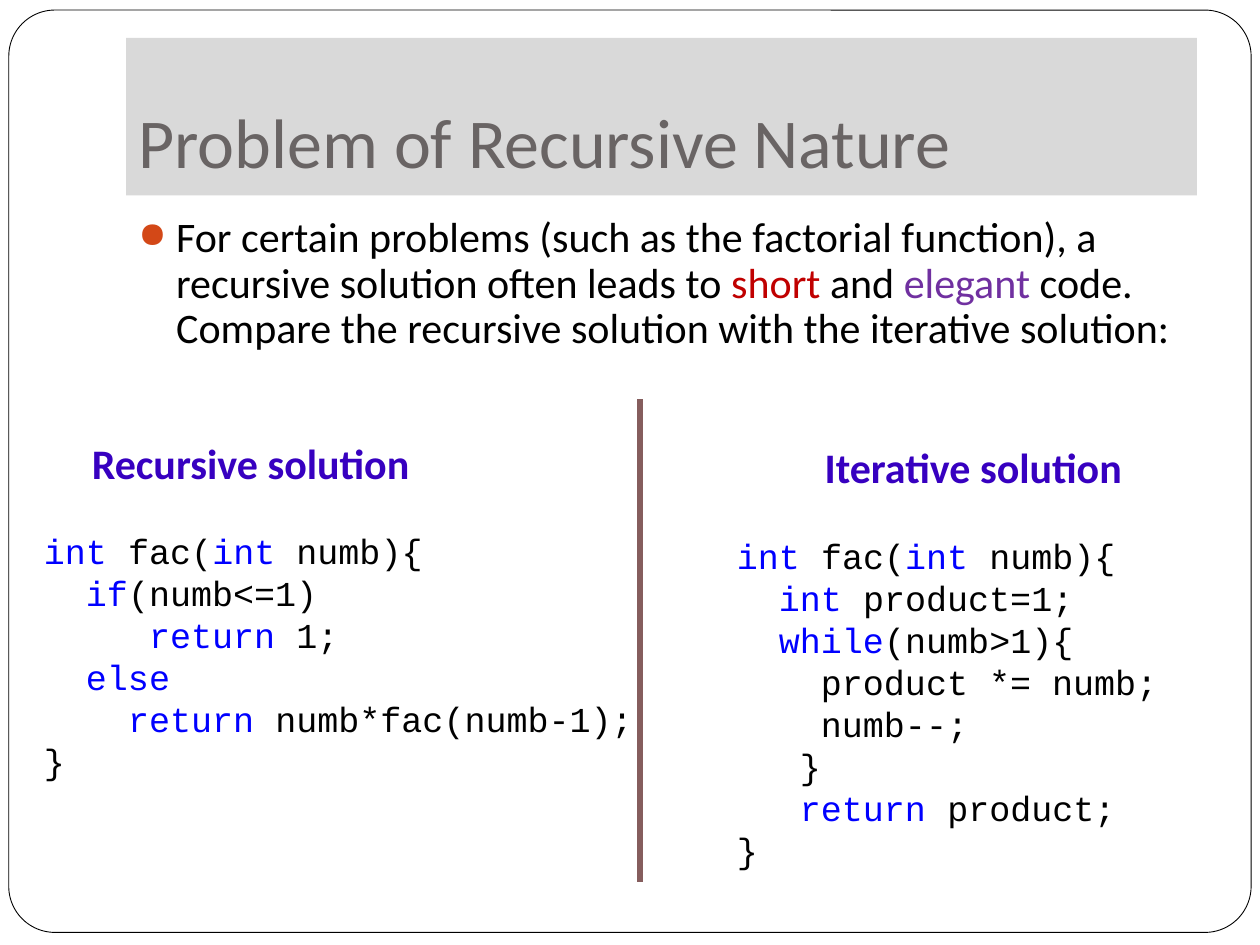
from dataclasses import dataclass
from typing import Any

from lxml import etree
from pptx import Presentation
from pptx.dml.color import RGBColor
from pptx.enum import shapes, text
from pptx.oxml import ns
from pptx.util import Inches, Pt

COLORS = {
    "white": "FFFFFF", "black": "000000", "band": "D9D9D9", "title": "696464",
    "bullet": "D34817", "short": "C00000", "elegant": "7030A0",
    "heading": "3700C0", "keyword": "0000FF", "divider": "855D5D",
}

# Keywords stand between bars
RECURSIVE_CODE = [
    "|int| fac(|int| numb){",
    "|  if|(numb<=1)",
    "     |return| 1;",
    "|  else|",
    "    |return| numb*fac(numb-1);",
    "}",
]
ITERATIVE_CODE = [
    "|int| fac(|int| numb){",
    "|  int| product=1;",
    "|  while|(numb>1){",
    "    product *= numb;",
    "    numb--;",
    "   }",
    "|   return| product;",
    "}",
]


def rgb(name):
    return RGBColor.from_string(COLORS[name])


def set_font(font, name, size, color=None, bold=False):
    font.name, font.size, font.bold = name, Pt(size), bold
    if color:
        font.color.rgb = rgb(color)


def add_runs(paragraph, parts):
    for content, color in parts:
        if content:
            run = paragraph.add_run()
            run.text = content
            run.font.color.rgb = rgb(color)


@dataclass
class SlideBuilder:
    slide: Any
    body_font: str = "Calibri"
    code_font: str = "Courier New"
    heading_size: int = 24
    code_size: int = 20

    def frame(self, left, top, width, height):
        shape = self.slide.shapes.add_shape(
            shapes.MSO_SHAPE.ROUNDED_RECTANGLE,
            Inches(left), Inches(top), Inches(width), Inches(height))
        shape.adjustments[0] = 0.05
        shape.shadow.inherit = False
        shape.fill.solid()
        shape.fill.fore_color.rgb = rgb("white")
        shape.line.color.rgb = rgb("black")
        shape.line.width = Pt(0.5)
        # Send behind the title
        self.slide.shapes._spTree.insert(2, shape._element)

    def title(self, content, left, top, width, height):
        title = self.slide.shapes.title
        title.left, title.top = Inches(left), Inches(top)
        title.width, title.height = Inches(width), Inches(height)
        title.fill.solid()
        title.fill.fore_color.rgb = rgb("band")
        text_frame = title.text_frame
        text_frame.text = content
        text_frame.vertical_anchor = text.MSO_ANCHOR.BOTTOM
        text_frame.margin_bottom = Inches(0.1)
        paragraph = text_frame.paragraphs[0]
        paragraph.alignment = text.PP_ALIGN.LEFT
        set_font(paragraph.font, self.body_font, 40, "title")

    def text_box(self, left, top, width, height):
        box = self.slide.shapes.add_textbox(
            Inches(left), Inches(top), Inches(width), Inches(height))
        box.text_frame.word_wrap = True
        return box.text_frame

    def bullet(self, parts, left, top, width, height):
        paragraph = self.text_box(left, top, width, height).paragraphs[0]
        properties = paragraph._p.get_or_add_pPr()
        properties.set("marL", str(Inches(0.3)))
        properties.set("indent", str(-Inches(0.3)))
        color = etree.SubElement(properties, ns.qn("a:buClr"))
        etree.SubElement(color, ns.qn("a:srgbClr"), val=COLORS["bullet"])
        etree.SubElement(properties, ns.qn("a:buSzPct"), val="85000")
        etree.SubElement(properties, ns.qn("a:buChar"), char="●")
        paragraph.line_spacing = 0.9
        set_font(paragraph.font, self.body_font, self.heading_size)
        add_runs(paragraph, parts)

    def code_panel(self, heading, code, left, top, width, height,
                   indent, alignment, line_spacing):
        text_frame = self.text_box(left, top, width, height)
        paragraph = text_frame.paragraphs[0]
        paragraph.text = heading
        paragraph._p.get_or_add_pPr().set("marL", str(Inches(indent)))
        paragraph.alignment = alignment
        paragraph.line_spacing = line_spacing
        paragraph.space_after = Pt(24)
        set_font(paragraph.font, self.body_font, self.heading_size, "heading", True)
        for line in code:
            paragraph = text_frame.add_paragraph()
            set_font(paragraph.font, self.code_font, self.code_size)
            add_runs(paragraph, [
                (part, "keyword" if index % 2 else "black")
                for index, part in enumerate(line.split("|"))])

    def divider(self, x, top, bottom):
        line = self.slide.shapes.add_connector(
            shapes.MSO_CONNECTOR.STRAIGHT,
            Inches(x), Inches(top), Inches(x), Inches(bottom))
        line.line.color.rgb = rgb("divider")
        line.line.width = Pt(3)
        etree.SubElement(line._element.spPr, ns.qn("a:effectLst"))


def main():
    presentation = Presentation()
    presentation.slide_width, presentation.slide_height = Inches(10), Inches(7.5)
    builder = SlideBuilder(presentation.slides.add_slide(presentation.slide_layouts[5]))

    # Frame and title
    builder.frame(0.07, 0.08, 9.86, 7.32)
    builder.title("Problem of Recursive Nature", 1, 0.3, 8.5, 1.25)

    # Introduction
    builder.bullet([
        ("For certain problems (such as the factorial function), a recursive "
         "solution often leads to ", "black"),
        ("short", "short"),
        (" and ", "black"),
        ("elegant", "elegant"),
        (" code. Compare the recursive solution with the iterative solution:", "black"),
    ], 1, 1.67, 8.5, 1.3)

    # Code comparison
    builder.code_panel("Recursive solution", RECURSIVE_CODE, 0.25, 3.42, 5.25, 2.86,
                       0.38, text.PP_ALIGN.LEFT, 1.0)
    builder.divider(5.08, 3.17, 7)
    builder.code_panel("Iterative solution", ITERATIVE_CODE, 5.75, 3.5, 3.87, 3.49,
                       0.08, text.PP_ALIGN.CENTER, 0.9)

    presentation.save("out.pptx")


if __name__ == "__main__":
    main()
